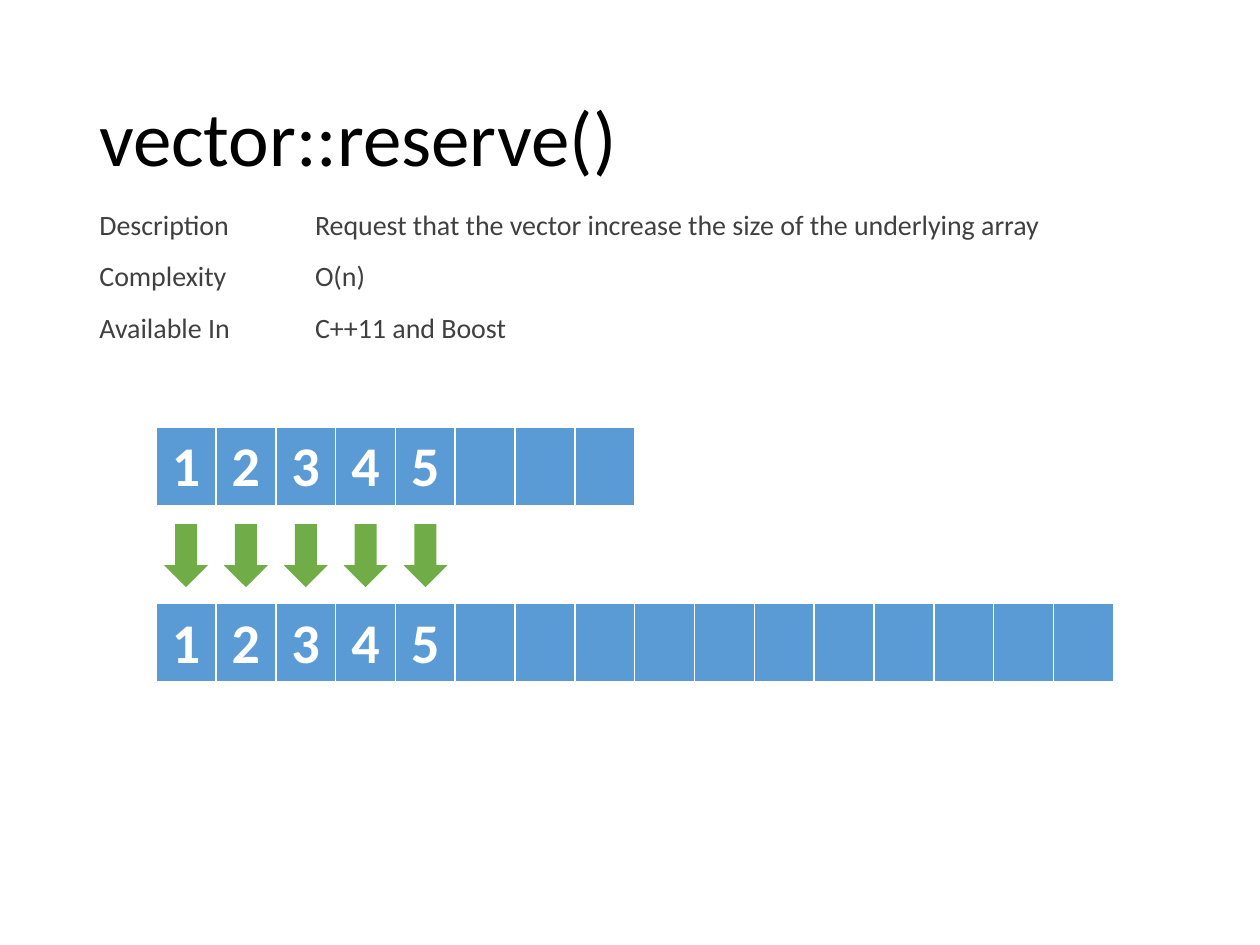
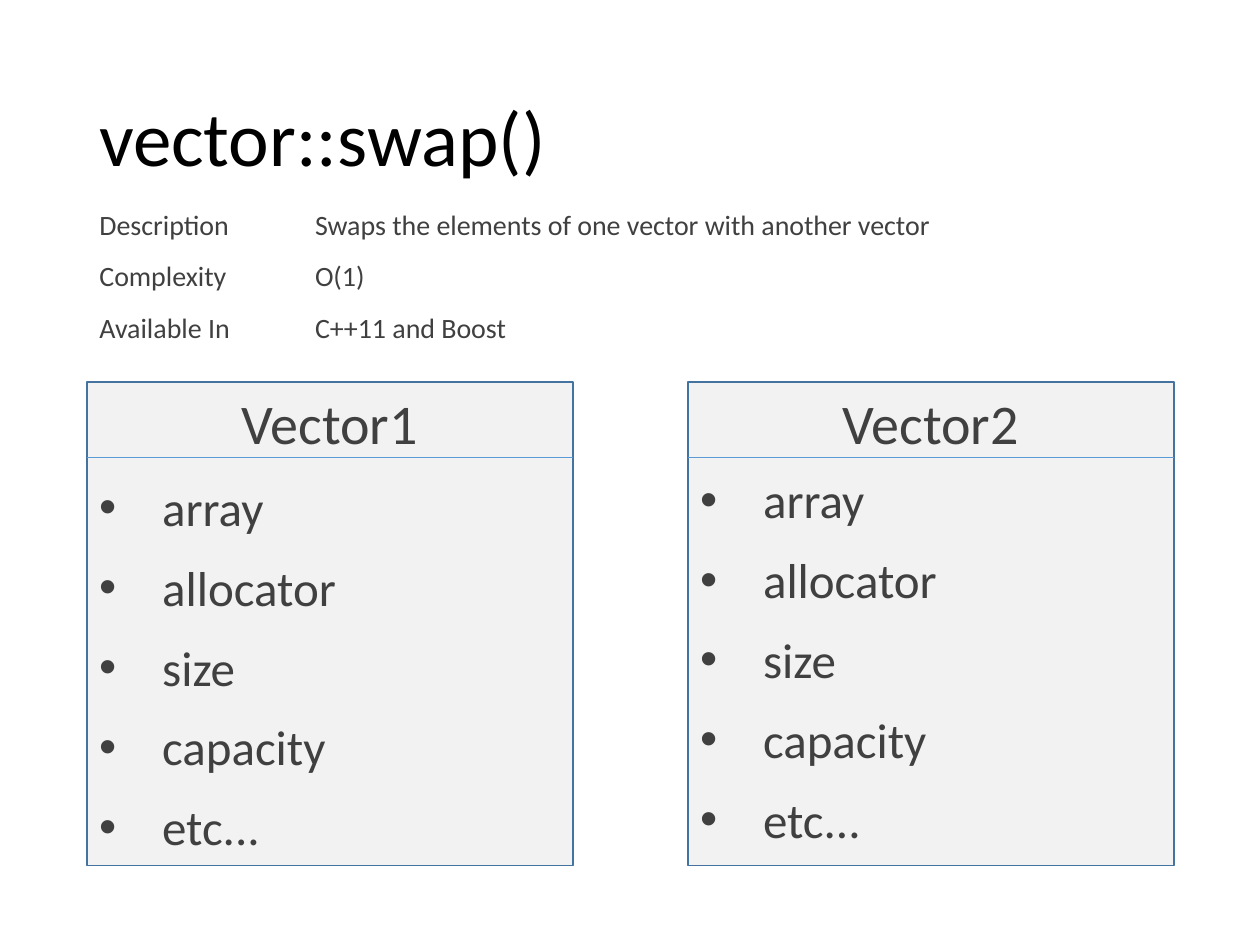
from dataclasses import dataclass
from lxml.etree import SubElement
from pptx import Presentation
from pptx.dml.color import RGBColor
from pptx.enum.shapes import MSO_CONNECTOR, MSO_SHAPE
from pptx.enum.text import MSO_ANCHOR, MSO_AUTO_SIZE, PP_ALIGN
from pptx.oxml.ns import qn
from pptx.util import Pt


@dataclass(frozen=True)
class Theme:
    font: str = "Calibri"
    black: RGBColor = RGBColor(0x00, 0x00, 0x00)
    gray: RGBColor = RGBColor(0x40, 0x40, 0x40)
    white: RGBColor = RGBColor(0xFF, 0xFF, 0xFF)
    blue: RGBColor = RGBColor(0x5B, 0x9B, 0xD5)
    outline: RGBColor = RGBColor(0x43, 0x73, 0x9E)
    panel: RGBColor = RGBColor(0xF2, 0xF2, 0xF2)
    green: RGBColor = RGBColor(0x70, 0xAD, 0x47)
    title_size: int = 44
    heading_size: int = 32
    list_size: int = 28
    fact_size: int = 16


THEME = Theme()
MARGIN = 49.6

# Array diagram
ARRAY_LEFT = 89.2
CELL_WIDTH, CELL_HEIGHT = 34.2, 45.3
ARROW_WIDTH, ARROW_HEIGHT = 25.2, 36

# Vector cards
CARD_TOP, CARD_WIDTH, CARD_HEIGHT = 218.2, 277.8, 276.5
HEADING_HEIGHT = 46
DIVIDER_TOP = 261.4
LIST_HEIGHT = 225.4
LIST_INDENT = 36


def style_text(paragraph, size, color, bold=False, align=PP_ALIGN.LEFT):
    paragraph.alignment = align
    font = paragraph.font
    font.name, font.size, font.bold = THEME.font, Pt(size), bold
    font.color.rgb = color


def add_text(slide, left, top, width, height, lines, size, color,
             align=PP_ALIGN.LEFT, space_after=0):
    shape = slide.shapes.add_textbox(Pt(left), Pt(top), Pt(width), Pt(height))
    frame = shape.text_frame
    frame.word_wrap = True
    frame.text = "\n".join(lines)
    for paragraph in frame.paragraphs:
        style_text(paragraph, size, color, align=align)
        paragraph.space_after = Pt(space_after)
    return frame


def add_table(slide, left, top, column_widths, row_height, row_count):
    frame = slide.shapes.add_table(
        row_count, len(column_widths), Pt(left), Pt(top),
        Pt(sum(column_widths)), Pt(row_height * row_count))
    table = frame.table
    table.first_row = table.horz_banding = False
    for column, width in zip(table.columns, column_widths):
        column.width = Pt(width)
    return table


def add_shape(slide, kind, left, top, width, height, fill, line=None):
    shape = slide.shapes.add_shape(kind, Pt(left), Pt(top), Pt(width), Pt(height))
    shape.shadow.inherit = False
    shape.fill.solid()
    shape.fill.fore_color.rgb = fill
    if line is None:
        shape.line.fill.background()
    else:
        shape.line.color.rgb = line
        shape.line.width = Pt(1)
    return shape


def set_borders(cell, color):
    properties = cell._tc.get_or_add_tcPr()
    for side, width in (("L", 1), ("R", 1), ("T", 1), ("B", 3)):
        line = SubElement(properties, qn(f"a:ln{side}"), w=str(Pt(width)))
        fill = SubElement(line, qn("a:solidFill"))
        SubElement(fill, qn("a:srgbClr"), val=str(color))


def set_bullet(paragraph):
    properties = paragraph._p.get_or_add_pPr()
    properties.set("marL", str(Pt(LIST_INDENT)))
    properties.set("indent", str(-Pt(LIST_INDENT)))
    SubElement(properties, qn("a:buFont"), typeface="Arial")
    SubElement(properties, qn("a:buChar"), char="•")
    # Text defaults must follow the bullet
    properties.append(properties.find(qn("a:defRPr")))


def add_method_slide(presentation, title, description, complexity):
    """Start a slide with its title and the table of facts."""
    slide = presentation.slides.add_slide(presentation.slide_layouts[6])
    frame = add_text(slide, MARGIN, 28.8, 620.8, 104.4, [title],
                     THEME.title_size, THEME.black)
    frame.vertical_anchor = MSO_ANCHOR.MIDDLE
    frame.paragraphs[0].line_spacing = 0.9

    facts = (("Description", description), ("Complexity", complexity),
             ("Available In", "C++11 and Boost"))
    table = add_table(slide, MARGIN, 115.9, (123.2, 469.4), 29.2, len(facts))
    for row, texts in zip(table.rows, facts):
        for cell, text in zip(row.cells, texts):
            cell.text = text
            cell.fill.background()
            style_text(cell.text_frame.paragraphs[0], THEME.fact_size, THEME.gray)
    return slide


def add_array(slide, top, values, capacity):
    table = add_table(slide, ARRAY_LEFT, top, [CELL_WIDTH] * capacity, CELL_HEIGHT, 1)
    for index, cell in enumerate(table.rows[0].cells):
        set_borders(cell, THEME.white)
        cell.fill.solid()
        cell.fill.fore_color.rgb = THEME.blue
        if index < len(values):
            cell.text = values[index]
            style_text(cell.text_frame.paragraphs[0], THEME.heading_size,
                       THEME.white, bold=True, align=PP_ALIGN.CENTER)


def add_copy_arrows(slide, top, count):
    for index in range(count):
        left = ARRAY_LEFT + (index + 0.5) * CELL_WIDTH - ARROW_WIDTH / 2
        arrow = add_shape(slide, MSO_SHAPE.UP_ARROW, left, top,
                          ARROW_WIDTH, ARROW_HEIGHT, THEME.green)
        arrow.rotation = 180


def add_vector_card(slide, left, name, members, list_top):
    add_shape(slide, MSO_SHAPE.RECTANGLE, left, CARD_TOP, CARD_WIDTH, CARD_HEIGHT,
              THEME.panel, THEME.outline)
    heading = add_text(slide, left, CARD_TOP, CARD_WIDTH, HEADING_HEIGHT, [name],
                       THEME.heading_size, THEME.gray, PP_ALIGN.CENTER, 12)
    divider = slide.shapes.add_connector(
        MSO_CONNECTOR.STRAIGHT, Pt(left), Pt(DIVIDER_TOP),
        Pt(left + CARD_WIDTH), Pt(DIVIDER_TOP))
    divider.line.color.rgb = THEME.blue
    divider.line.width = Pt(0.5)
    SubElement(divider._element.spPr, qn("a:effectLst"))
    member_list = add_text(slide, left, list_top, CARD_WIDTH, LIST_HEIGHT, members,
                           THEME.list_size, THEME.gray, space_after=12)
    for paragraph in member_list.paragraphs:
        set_bullet(paragraph)
    for frame in (heading, member_list):
        frame.auto_size = MSO_AUTO_SIZE.SHAPE_TO_FIT_TEXT


def main():
    presentation = Presentation()
    presentation.slide_width, presentation.slide_height = Pt(720), Pt(540)

    # Reserve: elements move to a larger array
    slide = add_method_slide(
        presentation, "vector::reserve()",
        "Request that the vector increase the size of the underlying array", "O(n)")
    values = "12345"
    add_array(slide, 344.9, values, 16)
    add_array(slide, 244.1, values, 8)
    add_copy_arrows(slide, 299.5, len(values))

    # Swap: two vectors side by side
    slide = add_method_slide(
        presentation, "vector::swap()",
        "Swaps the elements of one vector with another vector", "O(1)")
    members = ["array", "allocator", "size", "capacity", "etc..."]
    add_vector_card(slide, MARGIN, "Vector1", members, 269.3)
    add_vector_card(slide, 393, "Vector2", members, 265)

    presentation.save("out.pptx")


if __name__ == "__main__":
    main()
